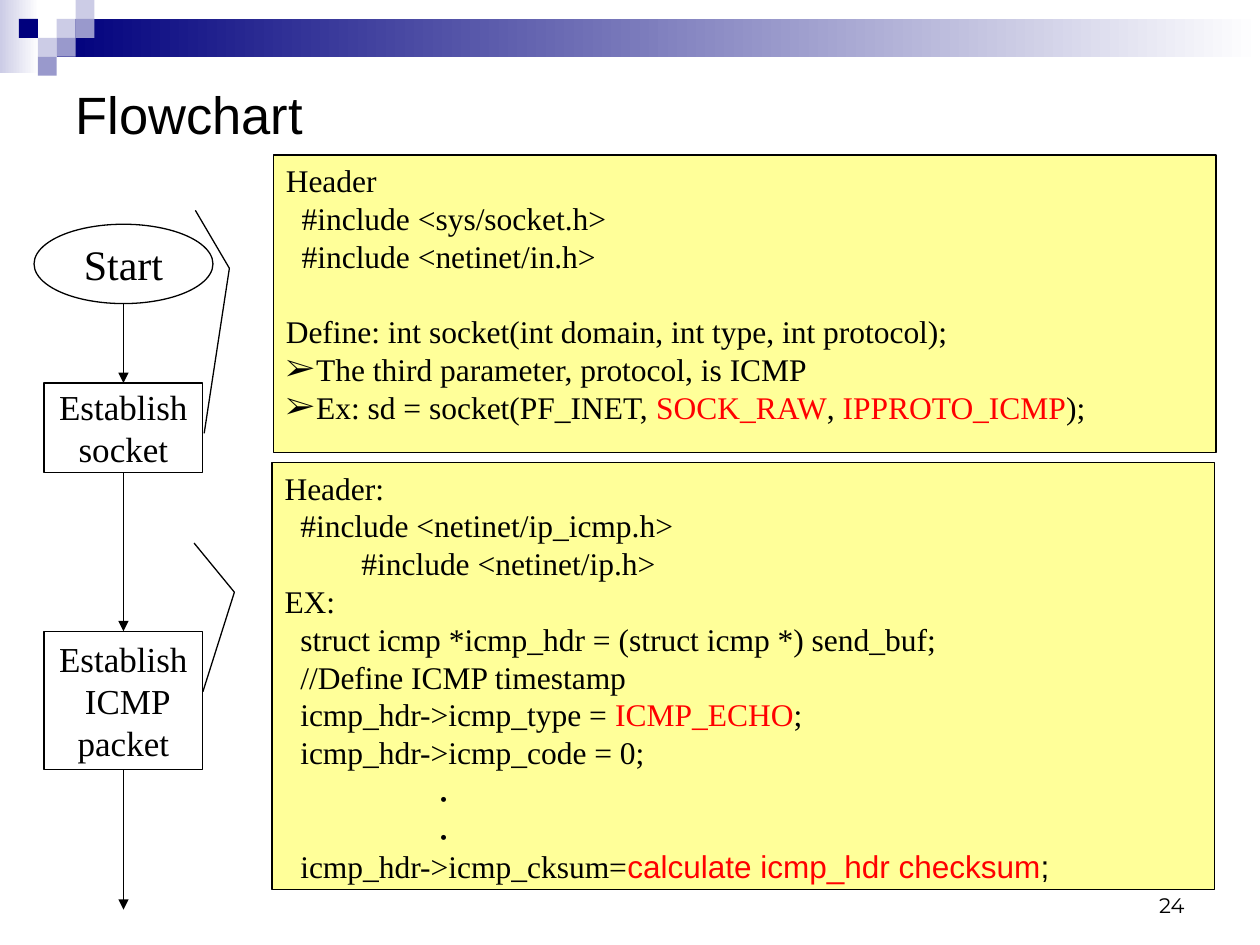
from lxml.etree import SubElement
from pptx import Presentation
from pptx.dml.color import RGBColor
from pptx.enum.shapes import MSO_CONNECTOR as Link, MSO_SHAPE as Kind
from pptx.enum.text import MSO_ANCHOR as Anchor, PP_ALIGN as Align
from pptx.oxml.ns import qn
from pptx.util import Inches, Pt

COLORS = {
    "black": "000000", "white": "FFFFFF", "red": "FF0000", "note": "FFFF99",
    "navy": "00007D", "mid": "9999CC", "pale": "CCCCE6",
}
SERIF, SANS = "Times New Roman", "Arial"
CODE = 0.125   # indent of code lines
BULLET = 0.24  # hanging indent of bulleted lines
TILE = 0.15
TILES = [  # column, row, color
    (3, 1, "pale"), (4, 0, "pale"), (4, 1, "mid"), (2, 2, "pale"),
    (1, 1, "navy"), (3, 2, "mid"), (2, 3, "mid"),
]

# A line is (indent, runs, options); a run is (text, color, font).
SOCKET = [
    (0, ["Header"], {}),
    (CODE, ["#include <sys/socket.h>"], {}),
    (CODE, ["#include <netinet/in.h>"], {}),
    (0, ["Define: int socket(int domain, int type, int protocol);"],
     {"before": 21.6}),
    (BULLET, ["The third parameter, protocol, is ICMP"], {"bullet": "➢"}),
    (BULLET, ["Ex: sd = socket(PF_INET, ", ("SOCK_RAW", "red", SERIF), ", ",
              ("IPPROTO_ICMP", "red", SERIF), ");"], {"bullet": "➢"}),
]
PACKET = [
    (0, ["Header:"], {}),
    (CODE, ["#include <netinet/ip_icmp.h>"], {}),
    (0.61, ["#include <netinet/ip.h>"], {}),
    (0, ["EX:"], {}),
    (CODE, ["struct icmp *icmp_hdr = (struct icmp *) send_buf;"], {}),
    (CODE, ["//Define ICMP timestamp"], {}),
    (CODE, ["icmp_hdr->icmp_type = ", ("ICMP_ECHO", "red", SERIF), ";"], {}),
    (CODE, ["icmp_hdr->icmp_code = 0;"], {}),
    (1.21, ["．"], {}),
    (1.21, ["．"], {}),
    (CODE, ["icmp_hdr->icmp_cksum=",
            ("calculate icmp_hdr checksum", "red", SANS),
            (";", "black", SANS)], {}),
]


def rgb(name):
    return RGBColor.from_string(COLORS[name])


def style(font, size, name, color="black"):
    font.size, font.name = Pt(size), name
    font.color.rgb = rgb(color)


def add_box(slide, kind, place, fill, line=None):
    box = slide.shapes.add_shape(kind, *map(Inches, place))
    box.shadow.inherit = False
    box.fill.solid()
    box.fill.fore_color.rgb = rgb(fill)
    if line:
        box.line.color.rgb = rgb(line)
        box.line.width = Pt(0.75)
    else:
        box.line.fill.background()
    return box


def add_fade(slide, place, color):
    """Add a bar that fades from the color to white, left to right."""
    fill = add_box(slide, Kind.RECTANGLE, place, color).fill
    fill.gradient()
    fill.gradient_angle = 0
    for stop, name, pos in zip(fill.gradient_stops, (color, "white"), (0, 1)):
        stop.color.rgb = rgb(name)
        stop.position = pos


def add_banner(slide):
    add_fade(slide, (0, 0, 0.31, 0.58), "pale")
    add_fade(slide, (0.45, 0.15, 9.55, 0.3), "navy")
    for col, row, color in TILES:
        place = (col * TILE, row * TILE, TILE, TILE)
        add_box(slide, Kind.RECTANGLE, place, color)


def add_title(slide, text):
    title = slide.shapes.title
    title.left, title.top = Inches(0.5), Inches(0.5)
    title.width, title.height = Inches(9), Inches(0.81)
    frame = title.text_frame
    frame.text = text
    frame.vertical_anchor = Anchor.MIDDLE
    para = frame.paragraphs[0]
    para.alignment = Align.LEFT
    style(para.runs[0].font, 30, SANS)


def add_node(slide, kind, place, text, size):
    frame = add_box(slide, kind, place, "white", "black").text_frame
    frame.text = text
    frame.word_wrap = False
    frame.vertical_anchor = Anchor.MIDDLE
    for para in frame.paragraphs:
        para.alignment = Align.CENTER
        style(para.runs[0].font, size, SERIF)


def add_arrow(slide, top, end):
    ends = map(Inches, (0.98, top, 0.98, end))
    arrow = slide.shapes.add_connector(Link.STRAIGHT, *ends)
    arrow.line.color.rgb = rgb("black")
    arrow.line.width = Pt(0.75)
    SubElement(arrow.line._get_or_add_ln(), qn("a:tailEnd"), type="triangle")
    SubElement(arrow._element.spPr, qn("a:effectLst"))


def add_line(para, indent, runs, bullet=None, before=0):
    para.alignment = Align.LEFT
    para.space_before = Pt(before)
    props = para._p.get_or_add_pPr()
    props.set("marL", str(Inches(indent)))
    props.set("indent", str(-Inches(indent) if bullet else 0))
    if bullet:
        SubElement(props, qn("a:buFont"), typeface=SERIF)
        SubElement(props, qn("a:buChar"), char=bullet)
    for item in runs:
        text, color, name = (item, "black", SERIF) if isinstance(item, str) else item
        run = para.add_run()
        run.text = text
        style(run.font, 18, name, color)


def add_note(slide, place, points, lines):
    """Add a callout whose pointer runs through the x, y points in inches."""
    note = add_box(slide, Kind.LINE_CALLOUT_2, place, "note", "black")
    left, top, width, height = place
    for i, (x, y) in enumerate(points):
        note.adjustments[2 * i] = (y - top) / height
        note.adjustments[2 * i + 1] = (x - left) / width
    frame = note.text_frame
    frame.word_wrap = True
    frame.vertical_anchor = Anchor.TOP
    for i, (indent, runs, extra) in enumerate(lines):
        para = frame.add_paragraph() if i else frame.paragraphs[0]
        add_line(para, indent, runs, **extra)


def add_number(slide, text):
    place = map(Inches, (7.17, 6.83, 2.33, 0.5))
    frame = slide.shapes.add_textbox(*place).text_frame
    frame.text = text
    frame.word_wrap = True
    frame.vertical_anchor = Anchor.BOTTOM
    para = frame.paragraphs[0]
    para.alignment = Align.RIGHT
    style(para.runs[0].font, 12, "Montserrat")


def main():
    deck = Presentation()
    deck.slide_width, deck.slide_height = Inches(10), Inches(7.5)
    slide = deck.slides.add_slide(deck.slide_layouts[5])
    add_banner(slide)
    add_title(slide, "Flowchart")
    step = Kind.FLOWCHART_PROCESS
    add_node(slide, Kind.OVAL, (0.27, 1.78, 1.42, 0.63), "Start", 24)
    add_node(slide, step, (0.35, 3.04, 1.26, 0.71), "Establish\nsocket", 20)
    add_node(slide, step, (0.35, 5.01, 1.26, 1.1),
             "Establish\n ICMP\npacket", 20)
    for top, end in ((2.41, 3.04), (3.75, 5.01), (6.11, 7.22)):
        add_arrow(slide, top, end)
    add_note(slide, (2.17, 1.23, 7.48, 2.36),
             ((1.55, 1.67), (1.82, 2.13), (1.62, 3.44)), SOCKET)
    add_note(slide, (2.16, 3.67, 7.48, 3.39),
             ((1.54, 4.31), (1.86, 4.7), (1.61, 5.49)), PACKET)
    add_number(slide, "24")
    deck.save("out.pptx")


if __name__ == "__main__":
    main()
